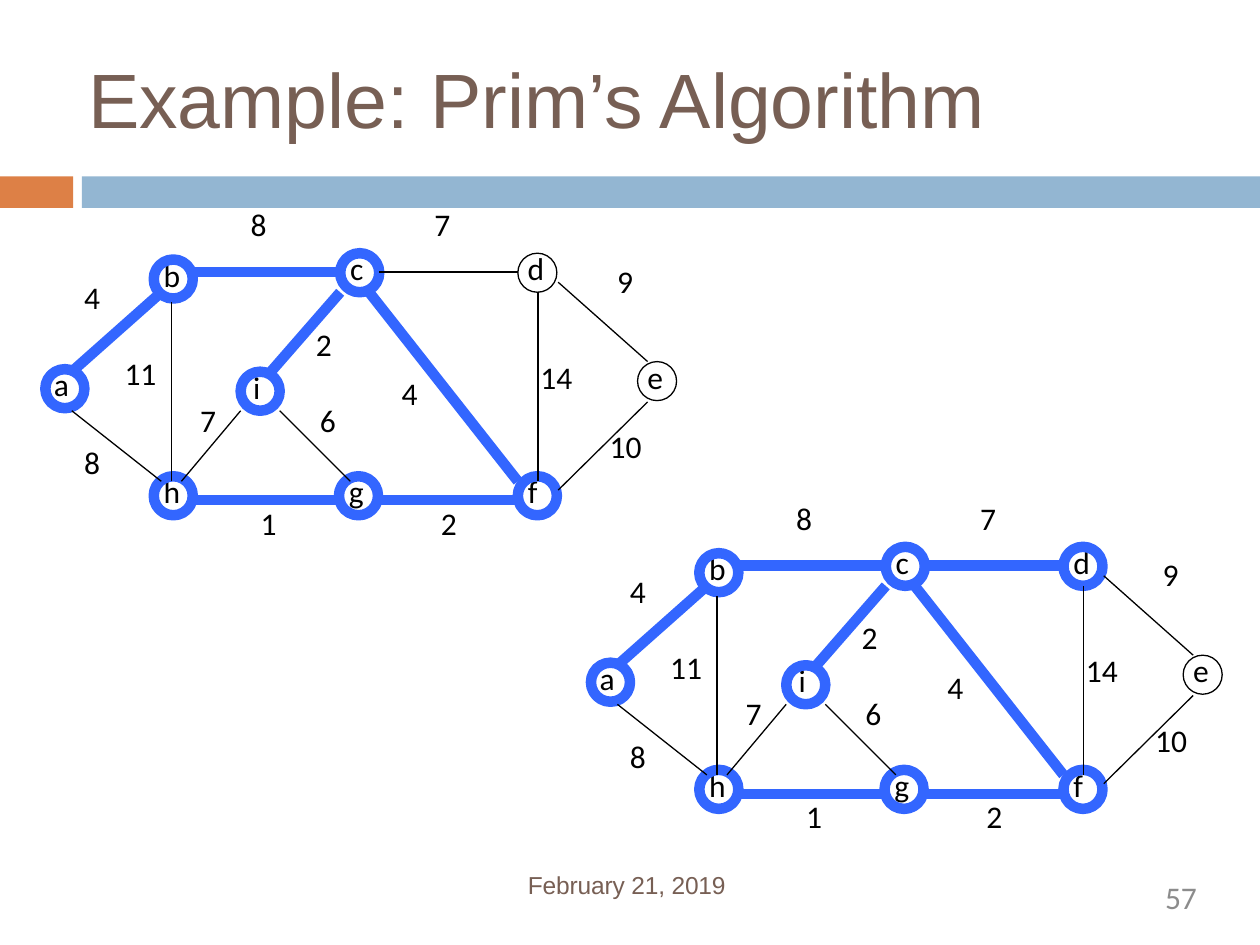
import pptx
import pptx.util
import pptx.dml.color
import pptx.enum.shapes
import pptx.enum.text
import pptx.oxml
from pptx.util import Inches, Pt

BROWN, ORANGE, SKY, GRAY = "775F54", "DD8046", "93B6D2", "8C8C8C"
BLUE, BLACK = "3366FF", "000000"
NODE_SIZE = 0.31

# Node: circle left and top, letter offset from the circle, letter box width
NODES = {
    "a": (0.36, 2.93, -0.03, 0.32), "b": (1.22, 2.06, -0.02, 0.34),
    "h": (1.22, 3.78, -0.02, 0.34), "c": (2.7, 2.01, -0.02, 0.32),
    "d": (4.11, 2.01, -0.02, 0.34), "e": (5.06, 2.87, -0.02, 0.32),
    "f": (4.11, 3.78, -0.02, 0.29), "g": (2.69, 3.78, -0.02, 0.34),
    "i": (1.91, 2.95, 0, 0.28),
}
# Edge: end points, weight, weight label left and top
EDGES = {
    "ab": ((0.57, 2.95), (1.28, 2.32), "4", (0.57, 2.16)),
    "ah": ((0.57, 3.26), (1.28, 3.82), "8", (0.57, 3.47)),
    "bh": ((1.36, 2.4), (1.36, 3.82), "11", (0.89, 2.76)),
    "bc": ((1.52, 2.16), (2.7, 2.16), "8", (1.89, 1.58)),
    "hg": ((1.52, 3.97), (2.7, 3.97), "1", (1.97, 3.95)),
    "gf": ((3.01, 3.97), (4.11, 3.97), "2", (3.4, 3.95)),
    "cf": ((2.93, 2.32), (4.11, 3.82), "4", (3.09, 2.92)),
    "cd": ((3.01, 2.16), (4.11, 2.16), "7", (3.35, 1.58)),
    "df": ((4.27, 2.32), (4.27, 3.82), "14", (4.19, 2.79)),
    "de": ((4.43, 2.24), (5.14, 2.87), "9", (4.8, 2.03)),
    "fe": ((4.43, 3.89), (5.14, 3.19), "10", (4.74, 3.34)),
    "ig": ((2.22, 3.26), (2.78, 3.82), "6", (2.44, 3.13)),
    "hi": ((1.44, 3.82), (1.91, 3.26), "7", (1.49, 3.13)),
    "ic": ((2.15, 2.95), (2.7, 2.32), "2", (2.41, 2.53)),
}
# Step: graph offset, edges of the tree so far
STEPS = [
    ((0, 0), ["ab", "bc", "ic", "cf", "gf", "hg"]),
    ((4.33, 2.33), ["ab", "bc", "ic", "cf", "gf", "hg", "cd"]),
]

prs = pptx.Presentation()
prs.slide_width, prs.slide_height = Inches(10), Inches(7.5)
slide = prs.slides.add_slide(prs.slide_layouts[6])


def color(value):
    return pptx.dml.color.RGBColor.from_string(value)


def add_text(text, left, top, width, height, size=18, font="Calibri",
             ink=BLACK, inset=(0.1, 0.05)):
    box = slide.shapes.add_textbox(*map(Inches, (left, top, width, height)))
    frame = box.text_frame
    frame.word_wrap = True
    frame.margin_left = frame.margin_right = Inches(inset[0])
    frame.margin_top = frame.margin_bottom = Inches(inset[1])
    run = frame.paragraphs[0].add_run()
    run.text = text
    run.font.size, run.font.name = Pt(size), font
    run.font.color.rgb = color(ink)
    return frame


def add_bar(left, width, fill):
    bar = slide.shapes.add_shape(
        pptx.enum.shapes.MSO_SHAPE.RECTANGLE,
        Inches(left), Inches(1.4), Inches(width), Inches(0.25))
    bar.shadow.inherit = False
    bar.fill.solid()
    bar.fill.fore_color.rgb = color(fill)
    bar.line.fill.background()


def set_stroke(line, in_tree):
    line.color.rgb = color(BLUE if in_tree else BLACK)
    line.width = Pt(6 if in_tree else 0.75)


def add_node(letter, left, top, shift, width, in_tree):
    add_text(letter, left + shift, top - 0.08, width, 0.43)
    circle = slide.shapes.add_shape(
        pptx.enum.shapes.MSO_SHAPE.OVAL,
        *map(Inches, (left, top, NODE_SIZE, NODE_SIZE)))
    circle.shadow.inherit = False
    circle.fill.background()
    set_stroke(circle.line, in_tree)


def add_edge(start, end, in_tree):
    edge = slide.shapes.add_connector(
        pptx.enum.shapes.MSO_CONNECTOR.STRAIGHT, *map(Inches, start + end))
    set_stroke(edge.line, in_tree)
    edge._element.spPr.append(
        pptx.oxml.parse_xml('<a:effectLst xmlns:a="http://schemas.openxmlformats.org/drawingml/2006/main"/>'))


def add_graph(offset, tree):
    dx, dy = offset
    tree_nodes = set("".join(tree))

    def moved(point):
        return point[0] + dx, point[1] + dy

    for letter, (left, top, shift, width) in NODES.items():
        add_node(letter, left + dx, top + dy, shift, width, letter in tree_nodes)
    for name, (start, end, _, _) in EDGES.items():
        add_edge(moved(start), moved(end), name in tree)
    for _, _, weight, place in EDGES.values():
        add_text(weight, *moved(place), 0.37 if len(weight) == 1 else 0.53, 0.5)


# Heading and bars
add_bar(0, 0.58, ORANGE)
add_bar(0.65, 9.35, SKY)
title = add_text("Example: Prim’s Algorithm", 0.7, 0.38, 8.6, 0.76,
                 44, "Arial", BROWN, (0, 0))
title.vertical_anchor = pptx.enum.text.MSO_ANCHOR.BOTTOM

# Footer
date = add_text("February 21, 2019", 4.19, 6.92, 2.32, 0.24,
                14, "Arial", BROWN, (0, 0)).paragraphs[0]
date.line_spacing = Pt(15.8)
date.runs[0].font._element.set("spc", "-10")
number = add_text("57", 7.2, 6.97, 2.3, 0.38, ink=GRAY, inset=(0, 0))
number.paragraphs[0].alignment = pptx.enum.text.PP_ALIGN.RIGHT

# Two successive steps of the algorithm
for offset, tree in STEPS:
    add_graph(offset, tree)

prs.save("out.pptx")
